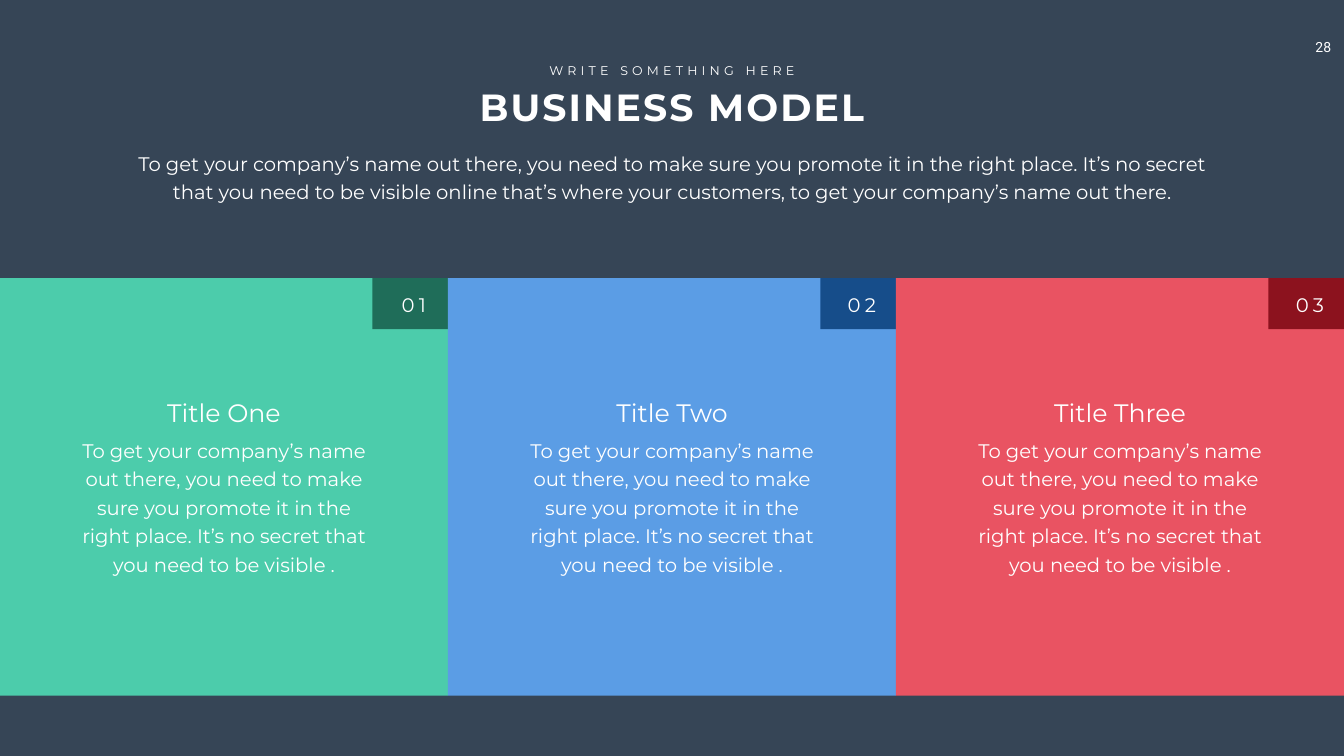
"""Build the business model slide: a heading above three numbered colour panels."""
from pptx import Presentation
from pptx.dml.color import RGBColor
from pptx.enum.shapes import MSO_SHAPE
from pptx.enum.text import MSO_ANCHOR, MSO_AUTO_SIZE, PP_ALIGN
from pptx.util import Pt

PAGE_NUMBER = "28"
TAGLINE = "WRITE SOMETHING HERE"
HEADING = "BUSINESS MODEL"
INTRODUCTION = (
    "To get your company’s name out there, you need to make sure you promote it "
    "in the right place. It’s no secret that you need to be visible online that’s "
    "where your customers, to get your company’s name out there."
)
PANEL_BODY = (
    "To get your company’s name out there, you need to make sure you promote it "
    "in the right place. It’s no secret that you need to be visible ."
)
PANELS = [
    {"number": "01", "title": "Title One", "fill": "green", "badge": "dark_green"},
    {"number": "02", "title": "Title Two", "fill": "blue", "badge": "dark_blue"},
    {"number": "03", "title": "Title Three", "fill": "red", "badge": "dark_red"},
]

THEME = {
    "colors": {
        "background": "364556", "text": "FFFFFF",
        "green": "4CCCAB", "dark_green": "1F6D59",
        "blue": "5B9DE5", "dark_blue": "164D8A",
        "red": "E95362", "dark_red": "8C121E",
    },
    "styles": {
        "page": {"font": {"name": "Roboto", "size": Pt(20)}},
        "tagline": {"font": {"name": "Montserrat", "size": Pt(18)}, "tracking": 6},
        "heading": {"font": {"name": "Montserrat", "size": Pt(54), "bold": True}, "tracking": 3},
        "body": {"font": {"name": "Montserrat", "size": Pt(28)}, "line": Pt(40.8)},
        "title": {"font": {"name": "Montserrat", "size": Pt(36)}},
        "number": {"font": {"name": "Montserrat", "size": Pt(28)}, "tracking": 6},
    },
}

SLIDE_WIDTH, SLIDE_HEIGHT = 1919.52, 1080
PANEL_TOP, PANEL_HEIGHT = 397.44, 596.16
BADGE_WIDTH, BADGE_HEIGHT = 108, 72.72
FRAME = {
    "word_wrap": True,
    "auto_size": MSO_AUTO_SIZE.SHAPE_TO_FIT_TEXT,
    "vertical_anchor": MSO_ANCHOR.TOP,
    "margin_left": Pt(7.2), "margin_right": Pt(7.2),
    "margin_top": Pt(3.6), "margin_bottom": Pt(3.6),
}


def color(name):
    return RGBColor.from_string(THEME["colors"][name])


def apply(target, values):
    for name, value in values.items():
        setattr(target, name, value)


def add_block(slide, left, top, width, height, fill):
    shape = slide.shapes.add_shape(
        MSO_SHAPE.RECTANGLE, Pt(left), Pt(top), Pt(width), Pt(height))
    shape.shadow.inherit = False
    shape.fill.solid()
    shape.fill.fore_color.rgb = color(fill)
    shape.line.fill.background()


def add_text(slide, text, style_name, center, top, width, height, **frame_values):
    style = THEME["styles"][style_name]
    box = slide.shapes.add_textbox(
        Pt(center - width / 2), Pt(top), Pt(width), Pt(height))
    apply(box.text_frame, {**FRAME, **frame_values})
    paragraph = box.text_frame.paragraphs[0]
    paragraph.alignment = PP_ALIGN.CENTER
    paragraph.line_spacing = style.get("line")
    run = paragraph.add_run()
    run.text = text
    apply(run.font, style["font"])
    run.font.color.rgb = color("text")
    if "tracking" in style:
        run._r.get_or_add_rPr().set("spc", str(style["tracking"] * 100))


def add_panel(slide, panel, left, width):
    center, right = left + width / 2, left + width
    add_block(slide, left, PANEL_TOP, width, PANEL_HEIGHT, panel["fill"])
    add_text(slide, panel["title"], "title", center, 564.48, 346.32, 51.12)
    add_text(slide, PANEL_BODY, "body", center, 615.6, 447.12, 210.96)
    add_block(slide, right - BADGE_WIDTH, PANEL_TOP, BADGE_WIDTH, BADGE_HEIGHT, panel["badge"])
    add_text(slide, panel["number"], "number", right - 48.8, 414.72, 76.32, 41.04)


def main():
    presentation = Presentation()
    presentation.slide_width, presentation.slide_height = Pt(SLIDE_WIDTH), Pt(SLIDE_HEIGHT)
    slide = presentation.slides.add_slide(presentation.slide_layouts[6])
    slide.background.fill.solid()
    slide.background.fill.fore_color.rgb = color("background")

    center = SLIDE_WIDTH / 2
    add_text(slide, PAGE_NUMBER, "page", 1890, 48.24, 65.52, 38.88, word_wrap=False,
             margin_left=Pt(14.4), margin_right=Pt(14.4),
             margin_top=Pt(7.2), margin_bottom=Pt(7.2))
    add_text(slide, TAGLINE, "tagline", center, 86.4, 372.96, 28.8, word_wrap=False)
    add_text(slide, HEADING, "heading", center, 115.92, 858.24, 72.72)
    add_text(slide, INTRODUCTION, "body", center, 205.92, 1579.68, 86.4)

    panel_width = SLIDE_WIDTH / len(PANELS)
    for index, panel in enumerate(PANELS):
        add_panel(slide, panel, index * panel_width, panel_width)

    presentation.save("out.pptx")


if __name__ == "__main__":
    main()
